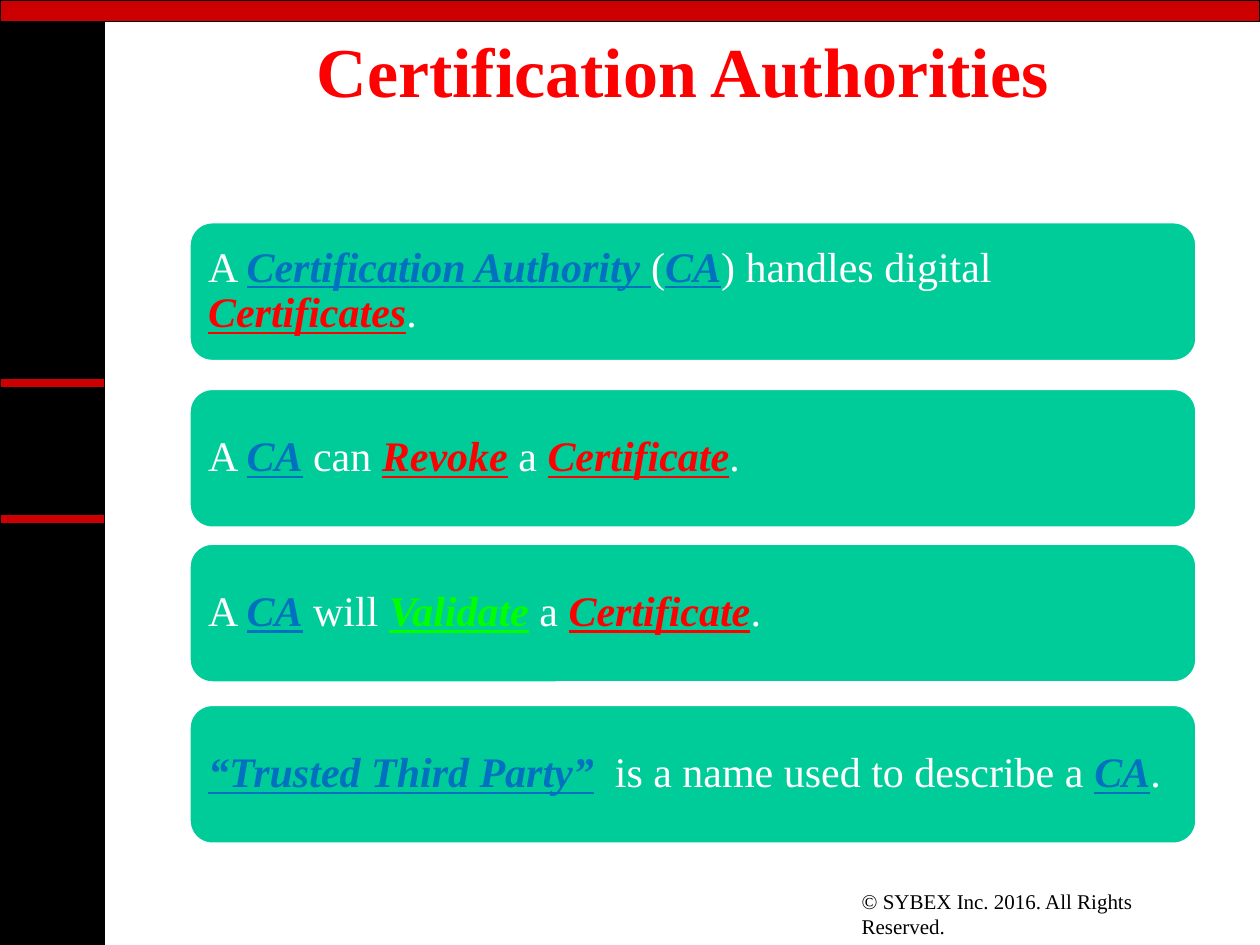
from dataclasses import dataclass
from typing import Any

from pptx import Presentation
from pptx.dml.color import RGBColor
from pptx.enum.shapes import MSO_SHAPE
from pptx.enum.text import MSO_ANCHOR, PP_ALIGN
from pptx.util import Cm, Pt

COLORS = {
    "black": "000000", "white": "FFFFFF", "bar": "CC0000", "card": "00CC99",
    "blue": "0070C0", "red": "FF0000", "green": "00FF00",
}
FONT = "Times New Roman"
EMPHASIS = {"bold": True, "italic": True, "underline": True}


@dataclass(frozen=True)
class Bar:
    top: float
    width: float
    height: float
    color: str = "bar"


@dataclass(frozen=True)
class Card:
    top: float
    runs: tuple[tuple[str, str], ...]


BARS = (
    Bar(0, 2.11, 19.05, "black"),
    Bar(10.36, 2.11, 0.2),
    Bar(0, 25.4, 0.43),
    Bar(7.62, 2.11, 0.2),
)
CARDS = (
    Card(4.47, (("A ", "white"), ("Certification Authority ", "blue"), ("(", "white"),
                ("CA", "blue"), (") handles digital ", "white"),
                ("Certificates", "red"), (".", "white"))),
    Card(7.83, (("A ", "white"), ("CA", "blue"), (" can ", "white"), ("Revoke", "red"),
                (" a ", "white"), ("Certificate", "red"), (".", "white"))),
    Card(10.95, (("A ", "white"), ("CA", "blue"), (" will ", "white"), ("Validate", "green"),
                 (" a ", "white"), ("Certificate", "red"), (".", "white"))),
    Card(14.2, (("“Trusted Third Party”", "blue"), ("  is a name used to describe a ", "white"),
                ("CA", "blue"), (".", "white"))),
)


def rgb(name: str) -> RGBColor:
    return RGBColor.from_string(COLORS[name])


def set_attrs(target: Any, values: dict[str, Any]) -> None:
    for name, value in values.items():
        setattr(target, name, value)


def add_run(p: Any, text: str, color: str, size: int, **style: bool) -> None:
    r = p.add_run()
    r.text = text
    set_attrs(r.font, {"name": FONT, "size": Pt(size), **style})
    r.font.color.rgb = rgb(color)


def add_box(s: Any, kind: Any, box: tuple[float, ...], fill: str, line: str, width: float) -> Any:
    sp = s.shapes.add_shape(kind, *map(Cm, box))
    sp.shadow.inherit = False
    sp.fill.solid()
    sp.fill.fore_color.rgb = rgb(fill)
    sp.line.color.rgb = rgb(line)
    sp.line.width = Pt(width)
    return sp


def add_bar(s: Any, bar: Bar) -> None:
    add_box(s, MSO_SHAPE.RECTANGLE, (0, bar.top, bar.width, bar.height), bar.color, "black", 0.75)


def add_card(s: Any, card: Card) -> None:
    sp = add_box(s, MSO_SHAPE.ROUNDED_RECTANGLE, (3.81, card.top, 20.32, 2.82), "card", "white", 2)
    tf = sp.text_frame
    margins = dict.fromkeys(("margin_left", "margin_right", "margin_top", "margin_bottom"), Cm(0.25))
    set_attrs(tf, {"word_wrap": True, "vertical_anchor": MSO_ANCHOR.MIDDLE, **margins})
    p = tf.paragraphs[0]
    set_attrs(p, {"alignment": PP_ALIGN.LEFT, "line_spacing": 0.9})
    for text, color in card.runs:
        add_run(p, text, color, 24, **({} if color == "white" else EMPHASIS))


def add_label(s: Any, box: tuple[float, ...], text: str, color: str, size: int,
              align: Any, anchor: Any, **style: bool) -> None:
    tf = s.shapes.add_textbox(*map(Cm, box)).text_frame
    set_attrs(tf, {"word_wrap": True, "vertical_anchor": anchor})
    p = tf.paragraphs[0]
    p.alignment = align
    add_run(p, text, color, size, **style)


def main() -> None:
    prs = Presentation()
    set_attrs(prs, {"slide_width": Cm(25.4), "slide_height": Cm(19.05)})
    s = prs.slides.add_slide(prs.slide_layouts[6])
    for bar in BARS:
        add_bar(s, bar)
    add_label(s, (17.12, 17.78, 7.47, 0.76), "© SYBEX Inc. 2016. All Rights Reserved.",
              "black", 12, PP_ALIGN.LEFT, MSO_ANCHOR.TOP)
    for card in CARDS:
        add_card(s, card)
    add_label(s, (2.97, 0.76, 21.59, 1.27), "Certification Authorities",
              "red", 40, PP_ALIGN.CENTER, MSO_ANCHOR.MIDDLE, bold=True)
    prs.save("out.pptx")


if __name__ == "__main__":
    main()
